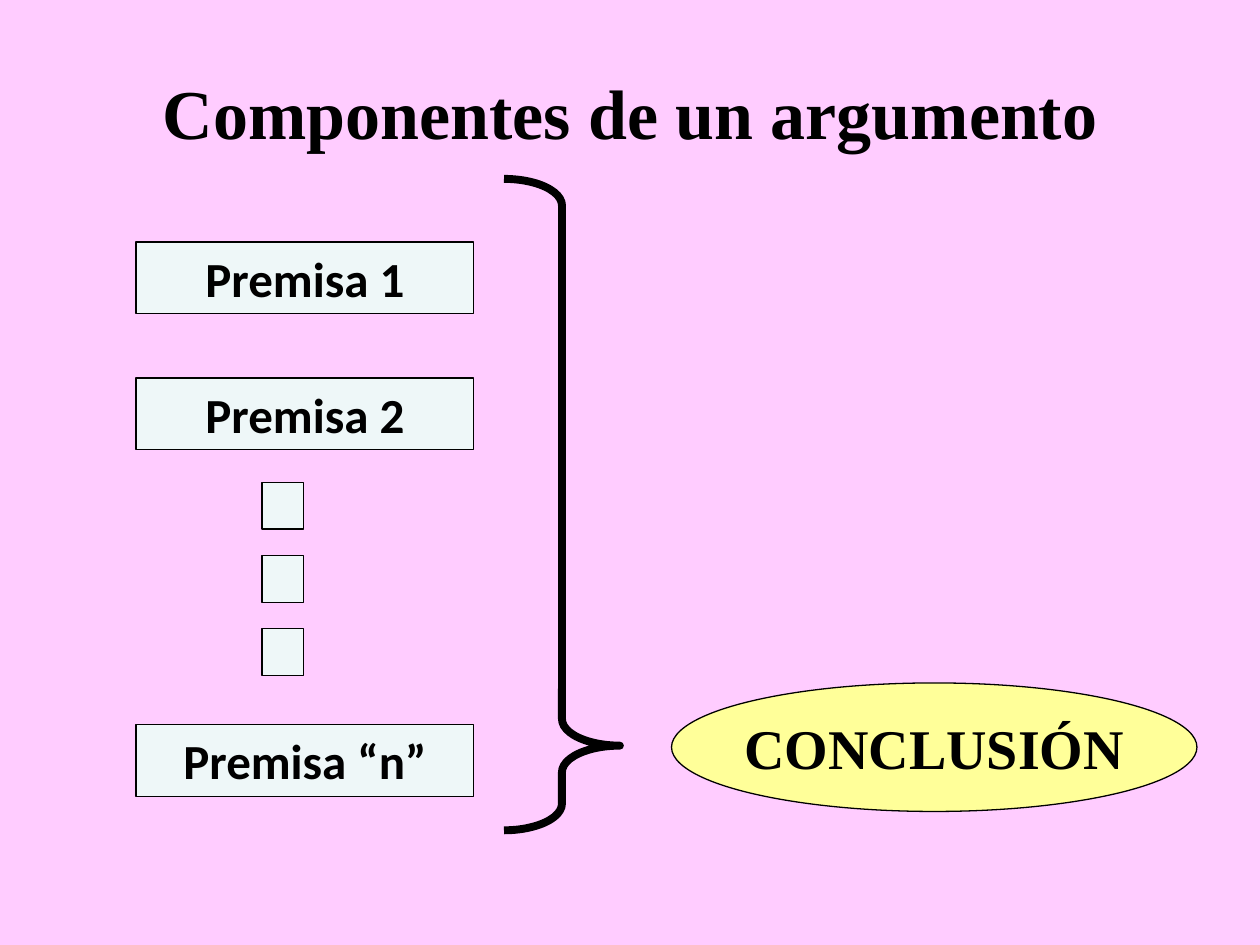
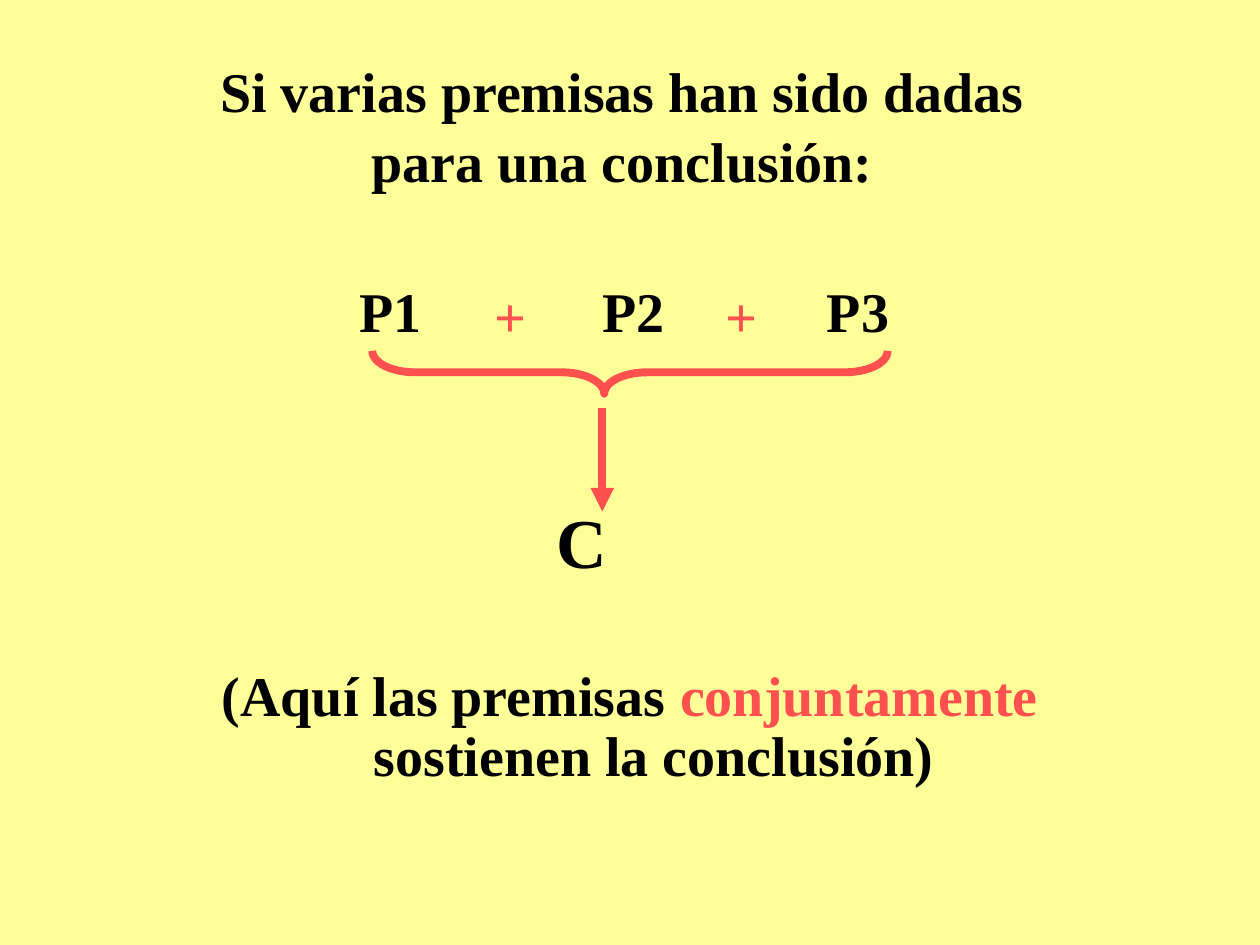
from dataclasses import dataclass

from lxml import etree
from pptx import Presentation
from pptx import util as u
from pptx.dml.color import RGBColor
from pptx.enum import shapes, text
from pptx.oxml.ns import qn

PX = 9144
BLACK, CORAL, PINK, YELLOW, ICE = "000000", "FF5050", "FFCCFF", "FFFF99", "EEF7F8"
SERIF, SANS = "Times New Roman", "Calibri"
HEAVY, THIN = 4.5, 0.75


@dataclass(frozen=True)
class Area:
    left: int
    top: int
    width: int
    height: int

    def emu(self) -> list[int]:
        return [px(n) for n in (self.left, self.top, self.width, self.height)]


@dataclass(frozen=True)
class Span:
    words: str
    size: int = 32
    color: str = BLACK
    font: str = SERIF


@dataclass(frozen=True)
class Label:
    area: Area
    lines: tuple[tuple[Span, ...], ...]
    wrap: bool = True
    hanging: int = 0
    spacing: float = 1.0


@dataclass(frozen=True)
class Brace:
    area: Area
    curl: float
    tip: float
    color: str
    rotation: int = 0


def px(length: int) -> int:
    return length * PX


def paint(fill, color: str) -> None:
    fill.solid()
    fill.fore_color.rgb = RGBColor.from_string(color)


def outline(line, color: str, width: float) -> None:
    paint(line.fill, color)
    line.width = u.Pt(width)


def new_page(deck, color: str):
    page = deck.slides.add_slide(deck.slide_layouts[6])
    paint(page.background.fill, color)
    return page


def write(frame, label: Label) -> None:
    frame.word_wrap = label.wrap
    frame.vertical_anchor = text.MSO_ANCHOR.MIDDLE
    for index, spans in enumerate(label.lines):
        para = frame.paragraphs[0] if index == 0 else frame.add_paragraph()
        para.alignment = text.PP_ALIGN.CENTER
        para.line_spacing = label.spacing
        if label.hanging:
            props = para._p.get_or_add_pPr()
            props.set("marL", str(px(label.hanging)))
            props.set("indent", str(-px(label.hanging)))
        for span in spans:
            run = para.add_run()
            run.text = span.words
            run.font.name = span.font
            run.font.size = u.Pt(span.size)
            run.font.bold = True
            run.font.color.rgb = RGBColor.from_string(span.color)


def add_label(page, label: Label) -> None:
    write(page.shapes.add_textbox(*label.area.emu()).text_frame, label)


def add_box(page, kind, label: Label, fill: str) -> None:
    box = page.shapes.add_shape(kind, *label.area.emu())
    box.shadow.inherit = False
    paint(box.fill, fill)
    outline(box.line, BLACK, THIN)
    write(box.text_frame, label)


def add_brace(page, brace: Brace) -> None:
    shape = page.shapes.add_shape(shapes.MSO_SHAPE.RIGHT_BRACE, *brace.area.emu())
    shape.shadow.inherit = False
    shape.fill.background()
    outline(shape.line, brace.color, HEAVY)
    shape.adjustments[0] = brace.curl
    shape.adjustments[1] = brace.tip
    shape.rotation = brace.rotation


def add_down_arrow(page, x: int, top: int, bottom: int, color: str) -> None:
    arrow = page.shapes.add_connector(
        shapes.MSO_CONNECTOR.STRAIGHT, px(x), px(top), px(x), px(bottom))
    outline(arrow.line, color, HEAVY)
    etree.SubElement(arrow.line._get_or_add_ln(), qn("a:tailEnd"), type="triangle")
    etree.SubElement(arrow._element.spPr, qn("a:effectLst"))


def build_components(deck) -> None:
    page = new_page(deck, PINK)
    add_label(page, Label(Area(75, 42, 850, 93), ((Span("Componentes de un argumento", 40),),)))
    rectangle = shapes.MSO_SHAPE.RECTANGLE
    for name, top in (("1", 192), ("2", 300), ("“n”", 575)):
        premise = Span(f"Premisa {name}", 28, font=SANS)
        add_box(page, rectangle, Label(Area(108, top, 268, 57), ((premise,),)), ICE)
    for top in range(383, 501, 58):
        add_box(page, rectangle, Label(Area(208, top, 33, 37), ()), ICE)
    conclusion = Label(Area(533, 542, 417, 102), ((Span("CONCLUSIÓN"),),), wrap=False)
    add_box(page, shapes.MSO_SHAPE.OVAL, conclusion, YELLOW)
    add_brace(page, Brace(Area(400, 142, 92, 517), 0.23, 0.87, BLACK))


def build_joint_support(deck) -> None:
    page = new_page(deck, YELLOW)
    add_label(page, Label(Area(69, 36, 850, 125), (
        (Span("Si varias premisas han sido dadas"),),
        (Span("para una conclusión:"),),
    ), spacing=1.04))
    for number, center in enumerate((310, 503, 681), start=1):
        add_label(page, Label(Area(center - 40, 214, 80, 64), ((Span(f"P{number}"),),)))
    for left in (383, 566):
        add_label(page, Label(Area(left, 218, 45, 64), ((Span("+", color=CORAL),),), wrap=False))
    add_brace(page, Brace(Area(483, 91, 34, 409), 1.0, 0.55, CORAL, rotation=90))
    add_down_arrow(page, 478, 324, 406, CORAL)
    add_label(page, Label(Area(422, 389, 80, 80), ((Span("C", 40),),)))
    add_label(page, Label(Area(85, 528, 830, 100), ((
        Span("(Aquí las premisas "),
        Span("conjuntamente ", color=CORAL),
        Span("sostienen la conclusión)"),
    ),), hanging=38, spacing=0.9))


def main() -> None:
    deck = Presentation()
    deck.slide_width, deck.slide_height = px(1000), px(750)
    build_components(deck)
    build_joint_support(deck)
    deck.save("out.pptx")


if __name__ == "__main__":
    main()
